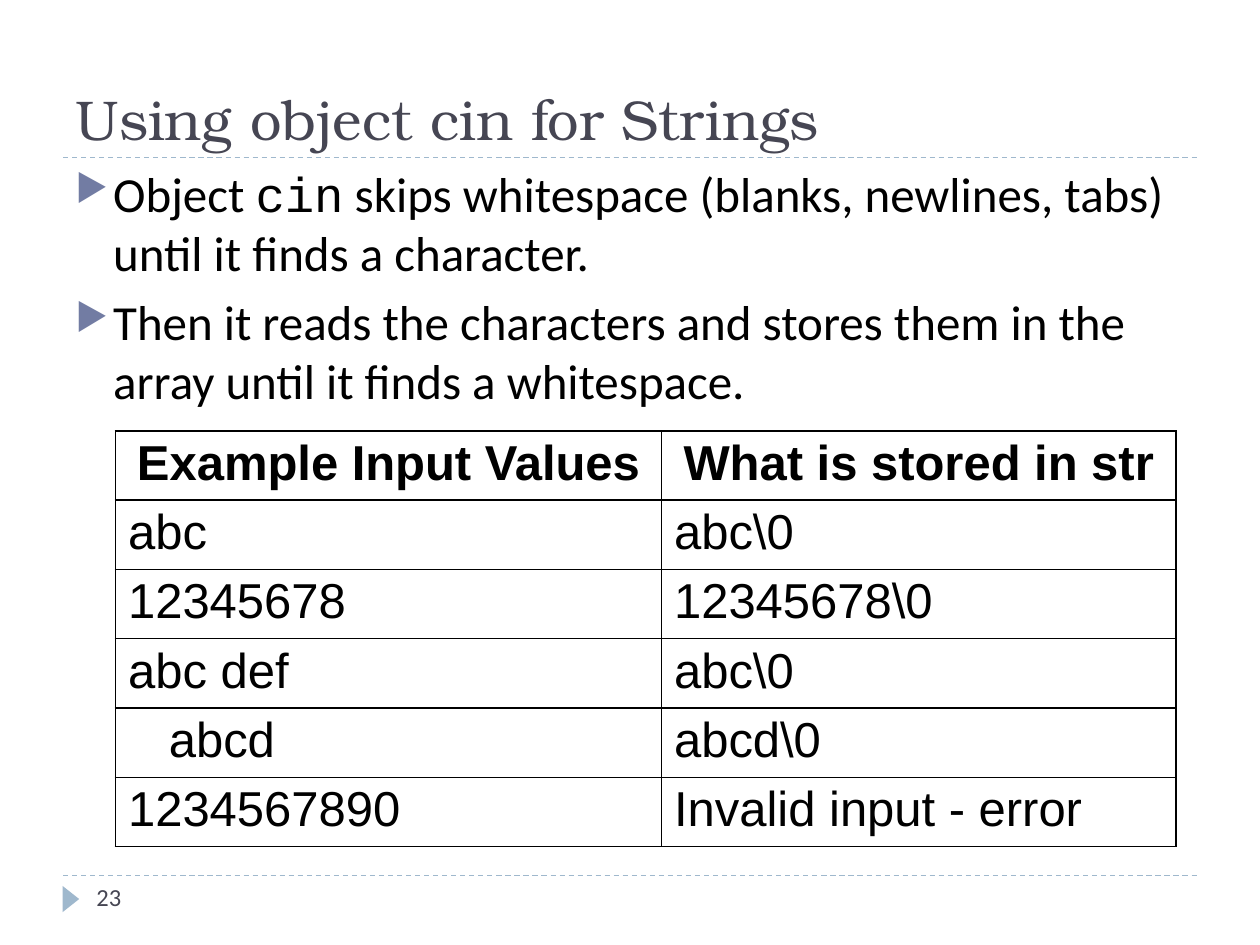
import pptx
import pptx.dml.color
import pptx.enum.dml
import pptx.enum.shapes
import pptx.enum.text
import pptx.oxml
import pptx.oxml.ns
import pptx.util

Pt = pptx.util.Pt
ALIGN = pptx.enum.text.PP_ALIGN
ANCHOR = pptx.enum.text.MSO_ANCHOR
NAMESPACE = pptx.oxml.ns.nsdecls("a")


def color(value):
    return pptx.dml.color.RGBColor.from_string(value)


def add_span(para, text, font="Calibri", size=28, fill="000000", bold=False):
    span = para.add_run()
    span.text = text
    span.font.name = font
    span.font.size = Pt(size)
    span.font.bold = bold
    span.font.color.rgb = color(fill)


deck = pptx.Presentation()
deck.slide_width, deck.slide_height = Pt(720), Pt(540)
page = deck.slides.add_slide(deck.slide_layouts[6])

# Dashed rules and the page marker
for y in (500.4, 90):
    rule = page.shapes.add_connector(
        pptx.enum.shapes.MSO_CONNECTOR.STRAIGHT, Pt(36), Pt(y), Pt(684), Pt(y))
    rule.line.color.rgb = color("9FB8CD")
    rule.line.width = Pt(0.75)
    rule.line.dash_style = pptx.enum.dml.MSO_LINE.DASH
    rule._element.spPr.append(pptx.oxml.parse_xml(f"<a:effectLst {NAMESPACE}/>"))

marker = page.shapes.add_shape(
    pptx.enum.shapes.MSO_SHAPE.ISOSCELES_TRIANGLE, Pt(33), Pt(509), Pt(15), Pt(9.5))
marker.rotation = 90
marker.shadow.inherit = False
marker.fill.solid()
marker.fill.fore_color.rgb = color("9FB8CD")
marker.line.fill.background()

# Text boxes: position, anchor, then paragraphs of (text, format) spans
body_paras = [
    [("Object ", {}), ("cin", {"font": "Courier New"}),
     (" skips whitespace (blanks, newlines, tabs) until it finds a character.", {})],
    [("Then it reads the characters and stores them in the array until it finds a whitespace.", {})],
]
title_format = {"font": "TeX Gyre Bonum", "size": 32, "fill": "464653"}
number_format = {"size": 14, "fill": "464653"}
text_boxes = [
    ((36, 12, 648, 78), ANCHOR.BOTTOM, [[("Using object cin for Strings", title_format)]], False),
    ((36, 90, 660, 414), ANCHOR.TOP, body_paras, True),
    ((48, 500.4, 156, 28.8), ANCHOR.TOP, [[("23", number_format)]], False),
]
for place, anchor, paras, bulleted in text_boxes:
    box = page.shapes.add_textbox(*map(Pt, place))
    frame = box.text_frame
    frame.word_wrap = True
    frame.vertical_anchor = anchor
    for index, spans in enumerate(paras):
        para = frame.add_paragraph() if index else frame.paragraphs[0]
        if index:
            para.space_before = Pt(6)
        if bulleted:
            properties = para._p.get_or_add_pPr()
            properties.set("marL", str(Pt(21.6)))
            properties.set("indent", str(-Pt(21.6)))
            for bullet in ('<a:buClr {}><a:srgbClr val="727CA3"/></a:buClr>',
                           '<a:buSzPct {} val="76000"/>',
                           '<a:buChar {} char="▶"/>'):
                properties.append(pptx.oxml.parse_xml(bullet.format(NAMESPACE)))
        for text, text_format in spans:
            add_span(para, text, **text_format)

# Table of inputs and stored strings
rows = [
    ("Example Input Values", "What is stored in str"),
    ("abc", "abc\\0"),
    ("12345678", "12345678\\0"),
    ("abc def", "abc\\0"),
    ("abcd", "abcd\\0"),
    ("1234567890", "Invalid input - error"),
]
row_height = 38.4
table = page.shapes.add_table(
    len(rows), 2, Pt(66), Pt(246.2), Pt(606), Pt(row_height * len(rows))).table
table.first_row = table.horz_banding = False
table.columns[0].width, table.columns[1].width = Pt(312), Pt(294)
for row_index, row in enumerate(rows):
    table.rows[row_index].height = Pt(row_height)
    for column_index, text in enumerate(row):
        is_header = row_index == 0
        is_indented = (row_index, column_index) == (4, 0)
        cell = table.cell(row_index, column_index)
        cell.margin_top = cell.margin_bottom = Pt(3)
        cell.margin_left = Pt(30.5 if is_indented else 7.2)
        para = cell.text_frame.paragraphs[0]
        para.alignment = ALIGN.CENTER if is_header else ALIGN.LEFT
        add_span(para, text, font="Arial", bold=is_header)
        properties = cell._tc.get_or_add_tcPr()
        for side in ("lnL", "lnR", "lnT", "lnB"):
            properties.append(pptx.oxml.parse_xml(
                f'<a:{side} {NAMESPACE} w="{Pt(1)}"><a:solidFill>'
                f'<a:srgbClr val="000000"/></a:solidFill></a:{side}>'))
        cell.fill.background()

deck.save("out.pptx")
